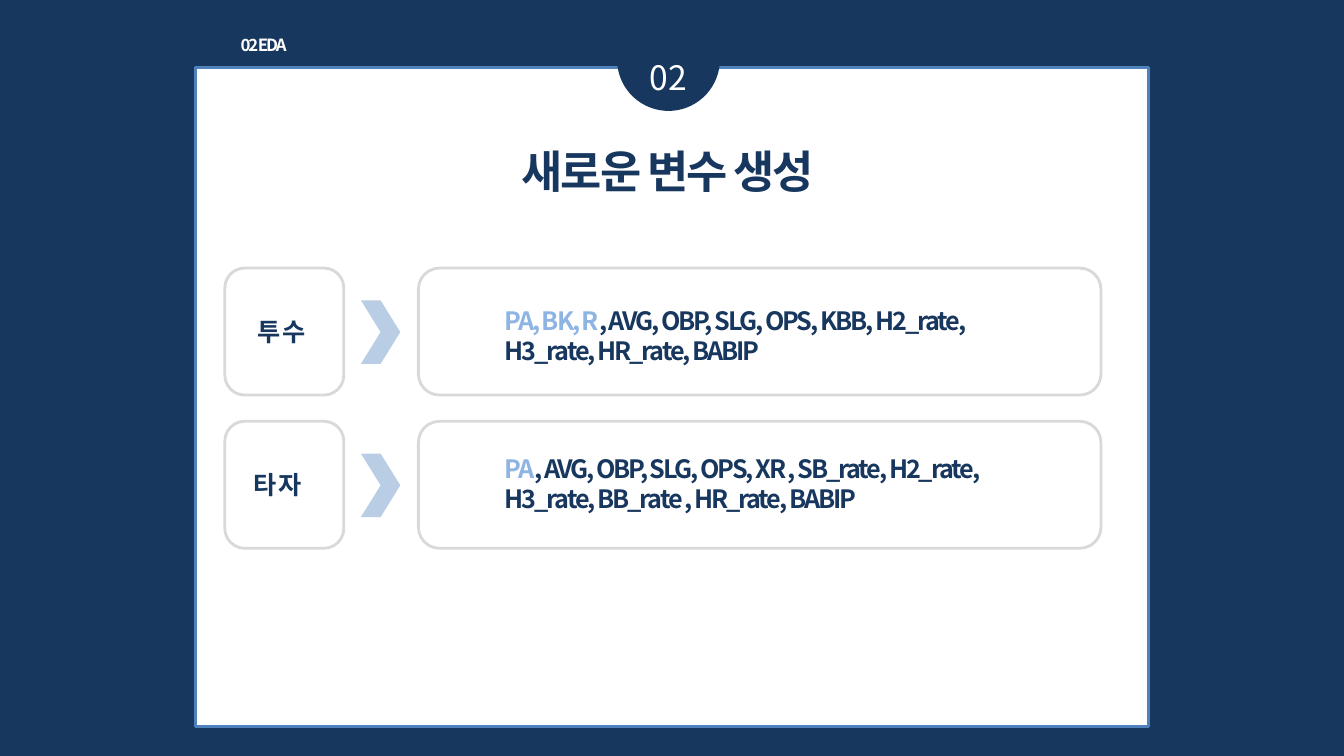
from pptx import Presentation
from pptx.dml.color import RGBColor
from pptx.enum.shapes import MSO_SHAPE as Shape
from pptx.enum.text import MSO_ANCHOR as Anchor, MSO_AUTO_SIZE as AutoSize, PP_ALIGN as Align
from pptx.oxml.ns import qn
from pptx.util import Inches, Pt

NAVY = RGBColor(0x17, 0x37, 0x5E)
WHITE = RGBColor(0xFF, 0xFF, 0xFF)
PANEL_BLUE = RGBColor(0x4F, 0x81, 0xBD)
BOX_GRAY = RGBColor(0xD9, 0xD9, 0xD9)
ARROW_BLUE = RGBColor(0xB9, 0xCD, 0xE5)
HIGHLIGHT = RGBColor(0x8E, 0xB4, 0xE3)

FONT = "Noto Sans CJK KR"
TIGHT = -1.5
ROW_TOP = 2.66
ROW_STEP = 1.52
ROW_HEIGHT = 1.26

# label, label left, highlighted variables, other variables, variables top
ROWS = [
    ("투 수", 2.46, "PA, BK, R",
     ", AVG, OBP, SLG, OPS, KBB, H2_rate, H3_rate, HR_rate, BABIP", 2.98),
    ("타 자", 2.42, "PA",
     ", AVG, OBP, SLG, OPS, XR , SB_rate, H2_rate, H3_rate, BB_rate , HR_rate, BABIP", 4.45),
]


def add_shape(slide, kind, box, fill=None, line=None):
    shape = slide.shapes.add_shape(kind, *map(Inches, box))
    shape.shadow.inherit = False
    if fill is None:
        shape.fill.background()
    else:
        shape.fill.solid()
        shape.fill.fore_color.rgb = fill
    if line is None:
        shape.line.fill.background()
    else:
        shape.line.color.rgb = line
        shape.line.width = Pt(2)
    return shape


def write_text(shape, runs, size, bold=True, align=Align.LEFT, spacing=TIGHT, wrap=True):
    """Fill the shape with one paragraph of (text, colour) runs."""
    frame = shape.text_frame
    frame.word_wrap = wrap
    frame.auto_size = AutoSize.NONE
    frame.vertical_anchor = Anchor.TOP
    paragraph = frame.paragraphs[0]
    paragraph.alignment = align
    paragraph.font.size = Pt(size)
    paragraph.font.bold = bold
    paragraph.font.name = FONT
    for text, color in runs:
        run = paragraph.add_run()
        run.text = text
        run.font.color.rgb = color
        run.font.name = FONT
        run.font.size = Pt(size)
        run.font.bold = bold
        properties = run.font._element
        properties.set("spc", str(int(spacing * 100)))
        east_asian = properties.makeelement(qn("a:ea"), {"typeface": FONT})
        properties.find(qn("a:latin")).addnext(east_asian)


def add_text(slide, box, runs, size, **style):
    write_text(slide.shapes.add_textbox(*map(Inches, box)), runs, size, **style)


def place_title(slide, text, box):
    """Format the title placeholder and bring it in front of the panel."""
    title = slide.shapes.title
    title.left, title.top, title.width, title.height = map(Inches, box)
    write_text(title, [(text, NAVY)], 32, align=Align.CENTER)
    title.element.getparent().append(title.element)


def add_row(slide, top, label, label_left, highlighted, others, variables_top):
    add_shape(slide, Shape.ROUNDED_RECTANGLE, (4.15, top, 6.77, ROW_HEIGHT), line=BOX_GRAY)
    add_shape(slide, Shape.CHEVRON, (3.58, top + 0.32, 0.39, 0.63), fill=ARROW_BLUE)
    add_shape(slide, Shape.ROUNDED_RECTANGLE, (2.23, top, 1.18, ROW_HEIGHT), line=BOX_GRAY)
    add_text(slide, (label_left, top + 0.43, 0.79, 0.4), [(label, NAVY)], 18)
    add_text(slide, (4.91, variables_top, 5.25, 0.71),
             [(highlighted, HIGHLIGHT), (others, NAVY)], 18)


def main():
    presentation = Presentation()
    presentation.slide_width = Inches(13.33)
    presentation.slide_height = Inches(7.5)
    slide = presentation.slides.add_slide(presentation.slide_layouts.get_by_name("Title Only"))
    slide.background.fill.solid()
    slide.background.fill.fore_color.rgb = NAVY

    add_shape(slide, Shape.RECTANGLE, (1.94, 0.67, 9.45, 6.54), WHITE, PANEL_BLUE)
    add_shape(slide, Shape.OVAL, (6.12, 0.08, 1.02, 1.02), NAVY)
    add_text(slide, (6.04, 0.52, 1.18, 0.5), [("02", WHITE)], 24,
             bold=False, align=Align.CENTER, spacing=0)
    place_title(slide, "새로운 변수 생성", (3, 1.38, 7.25, 0.64))
    for index, row in enumerate(ROWS):
        add_row(slide, ROW_TOP + index * ROW_STEP, *row)
    add_text(slide, (2.28, 0.3, 0.67, 0.3), [("02 EDA", WHITE)], 12,
             align=Align.CENTER, wrap=False)

    presentation.save("out.pptx")


if __name__ == "__main__":
    main()
